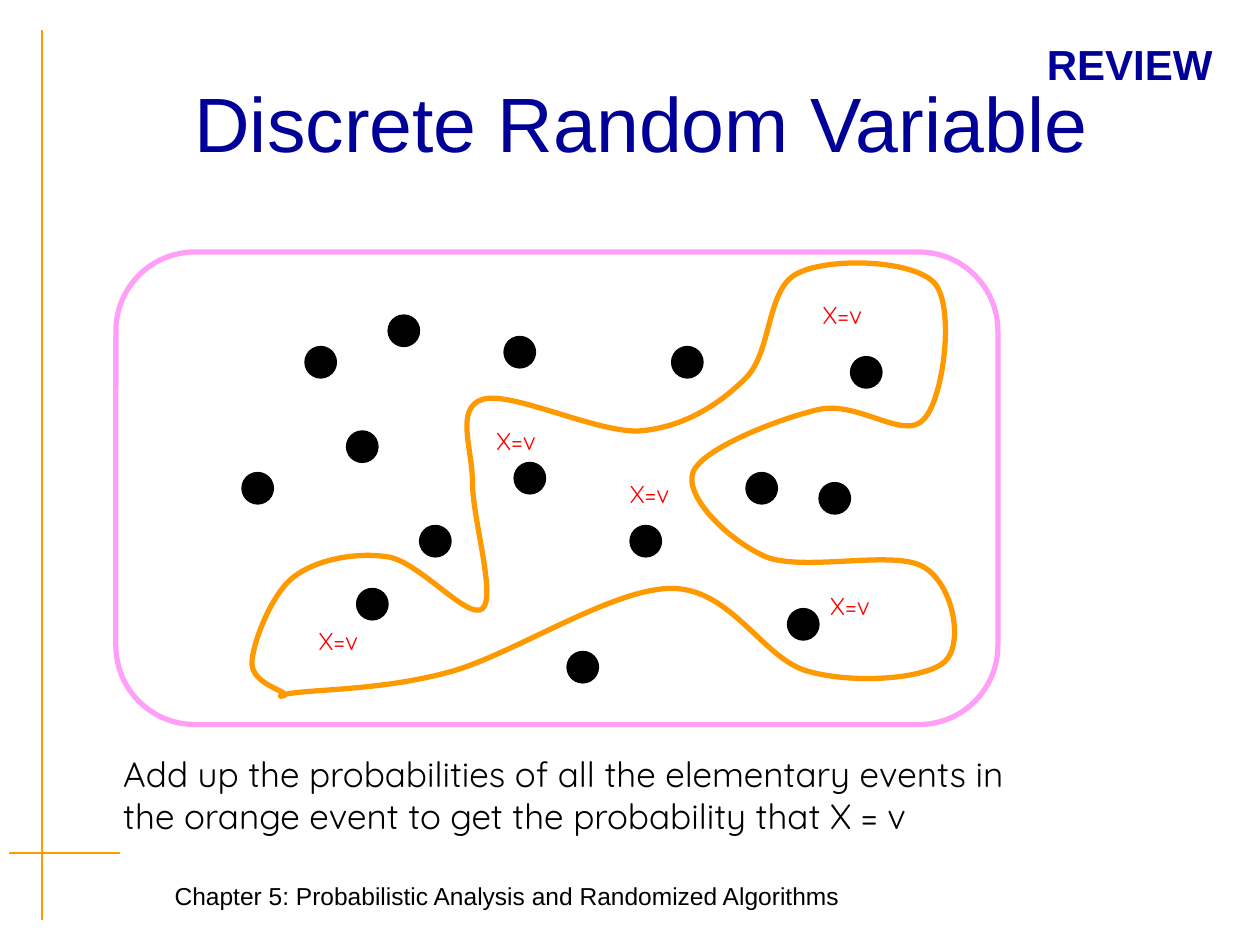
from pptx import Presentation
from pptx.dml.color import RGBColor
from pptx.enum.shapes import MSO_CONNECTOR, MSO_SHAPE
from pptx.enum.text import MSO_ANCHOR, PP_ALIGN
from pptx.oxml.ns import qn
from pptx.util import Pt
from lxml import etree

PX = 9144  # 100 px to the inch
LINE = MSO_CONNECTOR.STRAIGHT
OVAL, ROUND = MSO_SHAPE.OVAL, MSO_SHAPE.ROUNDED_RECTANGLE
TOP, MIDDLE = MSO_ANCHOR.TOP, MSO_ANCHOR.MIDDLE
LEFT, CENTER = PP_ALIGN.LEFT, PP_ALIGN.CENTER

COLORS = {"orange": "FF9900", "pink": "FF9FF8", "navy": "000099",
          "red": "FF0000", "black": "000000"}

RULES = [(33, 24, 33, 730), (7, 677, 95, 677)]
FOOTER = "Chapter 5: Probabilistic Analysis and Randomized Algorithms"
TITLE = "Discrete Random Variable"
NOTE = ["Add up the probabilities of all the elementary events in",
        "the orange event to get the probability that X = v"]
DOT = 25
DOTS = [(242, 275), (650, 383), (275, 342), (308, 250), (333, 417),
        (192, 375), (408, 367), (283, 467), (450, 517), (500, 417),
        (400, 267), (533, 275), (675, 283), (592, 375), (625, 483)]
LABEL = "X=v"
LABELS = [(649, 464), (643, 233), (243, 492), (384, 333), (490, 375)]
SPACE = (92, 200, 700, 375)
START = (225, 550)
# Each curve: two control points, then its end
EVENT = [
    ((231, 554), (211, 553), (233, 550)),
    ((256, 547), (308, 547), (358, 533)),
    ((408, 519), (486, 467), (533, 467)),
    ((581, 467), (606, 524), (642, 533)),
    ((678, 543), (735, 539), (750, 525)),
    ((765, 511), (757, 464), (733, 450)),
    ((710, 436), (639, 454), (608, 442)),
    ((578, 429), (543, 394), (550, 375)),
    ((557, 356), (619, 332), (650, 325)),
    ((681, 318), (718, 350), (733, 333)),
    ((749, 317), (758, 244), (742, 225)),
    ((725, 206), (658, 204), (633, 217)),
    ((608, 229), (613, 279), (592, 300)),
    ((571, 321), (543, 339), (508, 342)),
    ((474, 344), (406, 310), (383, 317)),
    ((361, 324), (375, 356), (375, 383)),
    ((375, 411), (394, 474), (383, 483)),
    ((372, 493), (333, 446), (308, 442)),
    ((283, 438), (251, 444), (233, 458)),
    ((215, 472), (201, 510), (200, 525)),
    ((199, 540), (219, 546), START),
]

deck = Presentation()
deck.slide_width, deck.slide_height = 1000 * PX, 750 * PX
shapes = deck.slides.add_slide(deck.slide_layouts[6]).shapes


def emu(box):
    return [v * PX for v in box]


def rgb(name):
    return RGBColor.from_string(COLORS[name])


def style(shape, line, width, fill=None):
    shape.shadow.inherit = False
    shape.line.color.rgb = rgb(line)
    shape.line.width = Pt(width)
    if fill:
        shape.fill.solid()
        shape.fill.fore_color.rgb = rgb(fill)
    else:
        shape.fill.background()


def write(box, lines, size, color, face="Arial", bold=False,
          align=LEFT, anchor=TOP, wrap=False):
    frame = shapes.add_textbox(*emu(box)).text_frame
    frame.word_wrap = wrap
    frame.vertical_anchor = anchor
    frame.text = "\n".join(lines)
    for para in frame.paragraphs:
        para.alignment = align
        font = para.font
        font.size, font.name, font.bold = Pt(size), face, bold
        font.color.rgb = rgb(color)


def bend(shape):
    """Turn each three straight segments of a freeform into one Bezier curve."""
    lines = list(shape.element.iter(qn("a:lnTo")))
    for i in range(0, len(lines), 3):
        curve = etree.Element(qn("a:cubicBezTo"))
        lines[i].addprevious(curve)
        for line in lines[i:i + 3]:
            curve.append(line[0])
            line.getparent().remove(line)


for rule in RULES:
    line = shapes.add_connector(LINE, *emu(rule))
    line.line.color.rgb = rgb("orange")
    line.line.width = Pt(1.19)
    etree.SubElement(line.element.spPr, qn("a:effectLst"))

write((101, 694, 603, 34), [FOOTER], 14, "black", align=CENTER, wrap=True)
write((84, 34, 850, 125), [TITLE], 44, "navy", align=CENTER,
      anchor=MIDDLE, wrap=True)

for x, y in DOTS:
    style(shapes.add_shape(OVAL, *emu((x, y, DOT, DOT))), "black", 0.75, "black")
for x, y in LABELS:
    write((x, y, 52, 34), [LABEL], 14, "red", "Quicksand")

pen = shapes.build_freeform(*START, scale=PX)
pen.add_line_segments([point for curve in EVENT for point in curve], close=True)
event = pen.convert_to_shape()
bend(event)
style(event, "orange", 3)

space = shapes.add_shape(ROUND, *emu(SPACE))
space.adjustments[0] = 0.167
style(space, "pink", 3)

write((88, 592, 736, 77), NOTE, 20, "black", "Quicksand")
write((821, 26, 156, 50), ["REVIEW"], 24, "navy", bold=True)

deck.save("out.pptx")
